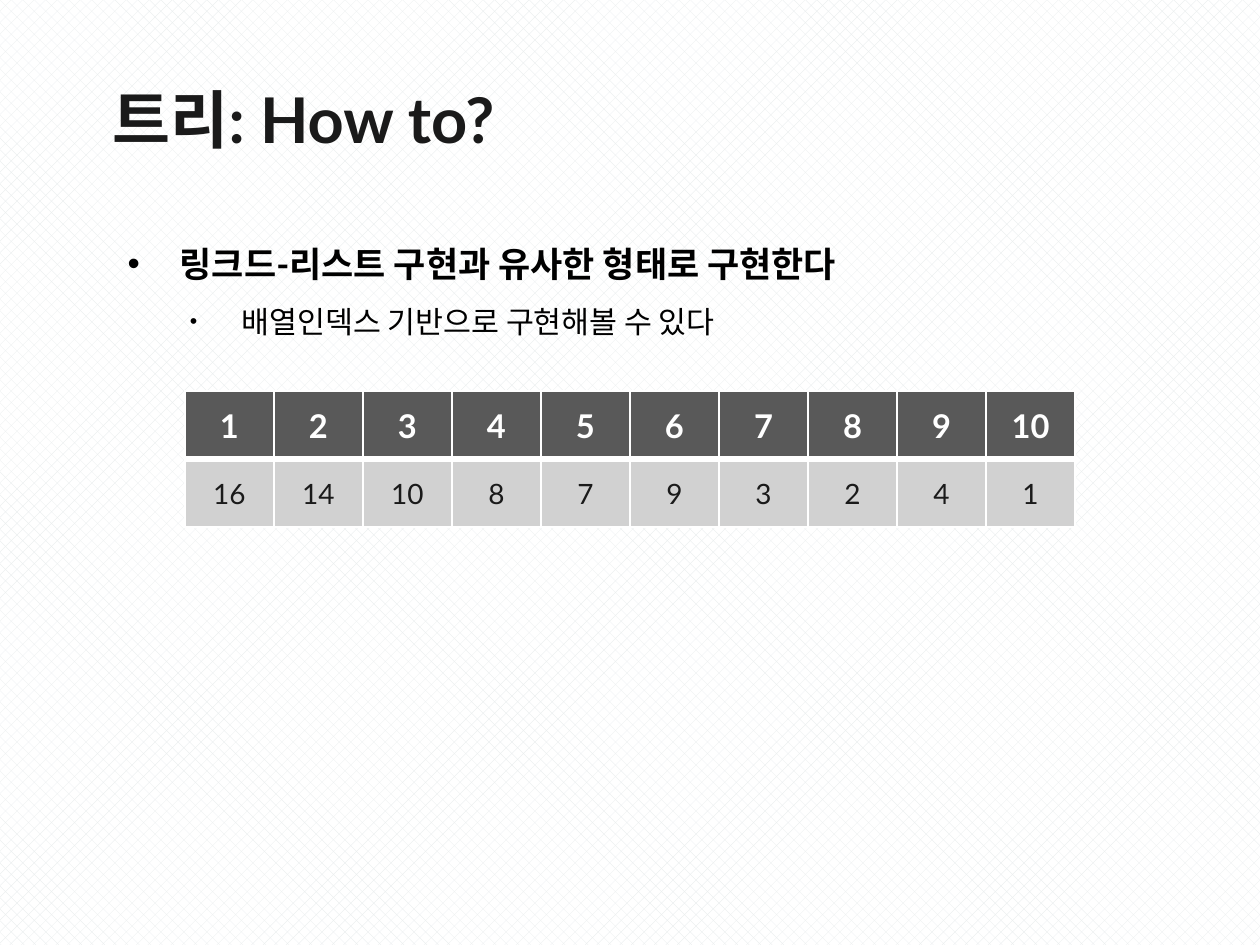
import pptx
import pptx.util
import pptx.dml.color
import pptx.enum.dml
import pptx.enum.text
import pptx.oxml
import pptx.oxml.ns
from pptx.util import Inches

INDEXES = [str(number) for number in range(1, 11)]
VALUES = ["16", "14", "10", "8", "7", "9", "3", "2", "4", "1"]


def color(hex_string):
    return pptx.dml.color.RGBColor.from_string(hex_string)


def add_xml(parent, markup):
    """Append one DrawingML element, written without its namespace declaration."""
    name, rest = markup[1:].split(" ", 1)
    namespace = pptx.oxml.ns.nsdecls("a")
    parent.append(pptx.oxml.parse_xml(f"<{name} {namespace} {rest}"))


class TreeSlide:
    font = "Lato"
    dark = "1A1A1A"
    black = "000000"
    white = "FFFFFF"

    def __init__(self, presentation):
        self.slide = presentation.slides.add_slide(presentation.slide_layouts[6])

    def pattern_background(self, foreground, background):
        fill = self.slide.background.fill
        fill.patterned()
        fill.pattern = pptx.enum.dml.MSO_PATTERN.PERCENT_50
        fill.fore_color.rgb = color(foreground)
        fill.back_color.rgb = color(background)

    def text_box(self, left, top, width, height, anchor):
        shape = self.slide.shapes.add_textbox(
            Inches(left), Inches(top), Inches(width), Inches(height))
        frame = shape.text_frame
        frame.word_wrap = True
        frame.vertical_anchor = anchor
        frame.margin_left = frame.margin_right = Inches(0.07)
        frame.margin_top = frame.margin_bottom = Inches(0.07)
        return frame

    def run(self, paragraph, text, size, text_color, bold):
        run = paragraph.add_run()
        run.text = text
        run.font.name = self.font
        run.font.size = pptx.util.Pt(size)
        run.font.bold = bold
        run.font.color.rgb = color(text_color)

    def bullet(self, paragraph, level, indent, spacing, bullet_size):
        paragraph.level = level
        paragraph.line_spacing = spacing
        properties = paragraph._p.get_or_add_pPr()
        properties.set("marL", str(Inches(indent)))
        properties.set("indent", str(Inches(-0.31)))
        add_xml(properties, f'<a:buClr ><a:srgbClr val="{self.black}"/></a:buClr>')
        add_xml(properties, f'<a:buSzPct val="{bullet_size * 1000}"/>')
        add_xml(properties, '<a:buFont typeface="Arial"/>')
        add_xml(properties, '<a:buChar char="•"/>')

    def cell(self, cell, text, size, text_color, bold, fill, top, bottom):
        """Fill one table cell; top and bottom are border widths in points."""
        cell.vertical_anchor = pptx.enum.text.MSO_ANCHOR.MIDDLE
        properties = cell._tc.get_or_add_tcPr()
        for side, width in (("L", 1), ("R", 1), ("T", top), ("B", bottom)):
            add_xml(properties,
                    f'<a:ln{side} w="{pptx.util.Pt(width)}"><a:solidFill>'
                    f'<a:srgbClr val="{self.white}"/></a:solidFill></a:ln{side}>')
        cell.fill.solid()
        cell.fill.fore_color.rgb = color(fill)
        paragraph = cell.text_frame.paragraphs[0]
        paragraph.alignment = pptx.enum.text.PP_ALIGN.CENTER
        self.run(paragraph, text, size, text_color, bold)

    def array_table(self, left, top, width, height):
        columns = len(INDEXES)
        table = self.slide.shapes.add_table(
            2, columns, Inches(left), Inches(top),
            Inches(width), Inches(height)).table
        for column in table.columns:
            column.width = Inches(width / columns)
        for row in table.rows:
            row.height = Inches(height / 2)
        for index, (heading, value) in enumerate(zip(INDEXES, VALUES)):
            self.cell(table.cell(0, index), heading, 14, self.white, True, "595959", 1, 3)
            self.cell(table.cell(1, index), value, 12, self.dark, False, "D1D1D1", 3, 1)


def main():
    presentation = pptx.Presentation()
    presentation.slide_width = Inches(7.5)
    presentation.slide_height = Inches(7.5 * 3 / 4)

    page = TreeSlide(presentation)
    page.pattern_background("E9EDEE", "FFFFFF")

    body = page.text_box(0.6, 1, 6.31, 4.29, pptx.enum.text.MSO_ANCHOR.TOP)
    main_point = body.paragraphs[0]
    page.bullet(main_point, 0, 0.4, 2.5, 100)
    page.run(main_point, "링크드-리스트 구현과 유사한 형태로 구현한다", 15, page.black, True)
    detail = body.add_paragraph()
    page.bullet(detail, 1, 0.77, 1.5, 70)
    page.run(detail, "배열인덱스 기반으로 구현해볼 수 있다", 13, page.black, False)

    title = page.text_box(0.6, 0.34, 6.31, 0.66, pptx.enum.text.MSO_ANCHOR.MIDDLE)
    title.paragraphs[0].line_spacing = 1.15
    page.run(title.paragraphs[0], "트리: How to?", 27, page.dark, True)

    page.array_table(1.1, 2.33, 5.3, 0.81)
    presentation.save("out.pptx")


if __name__ == "__main__":
    main()
